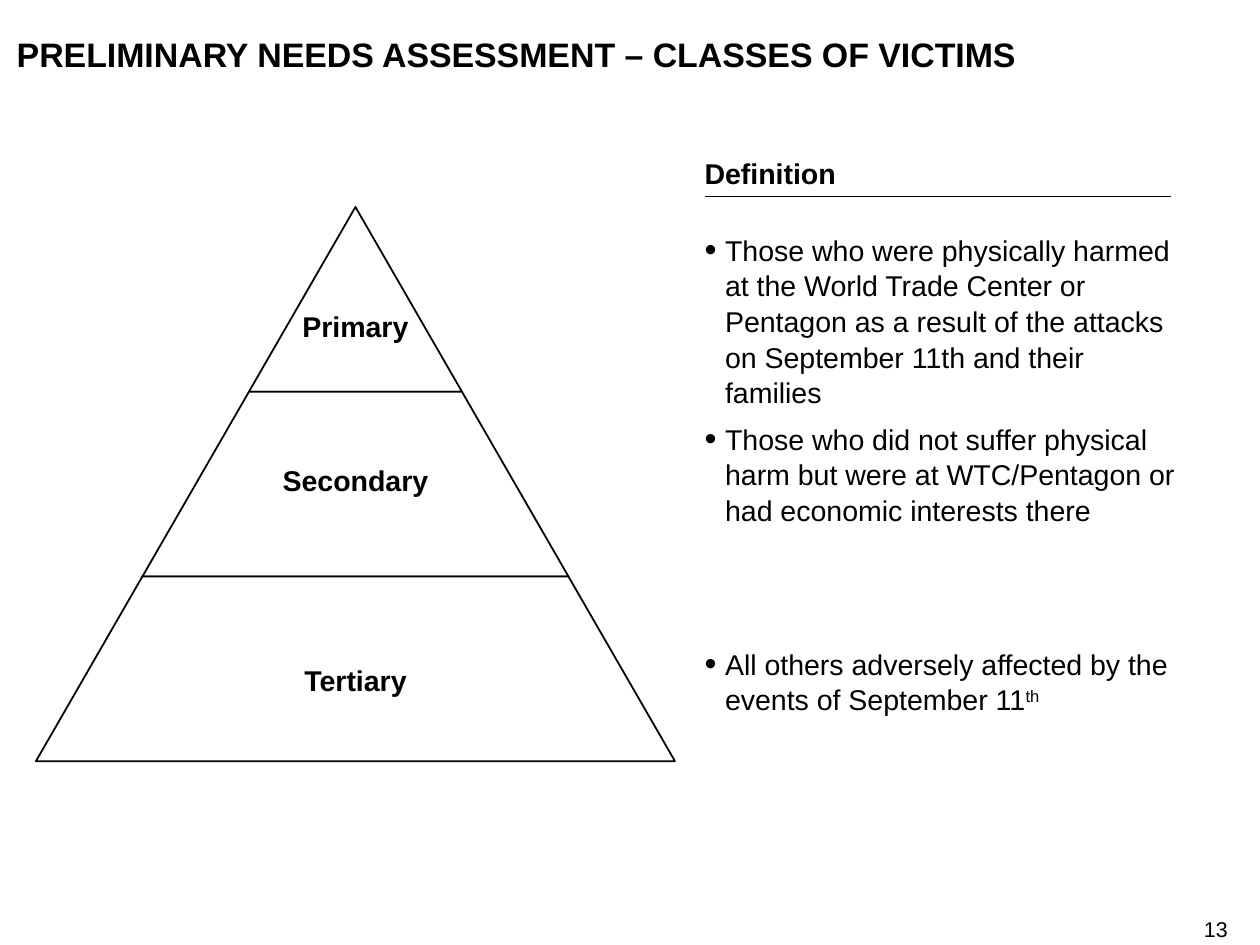
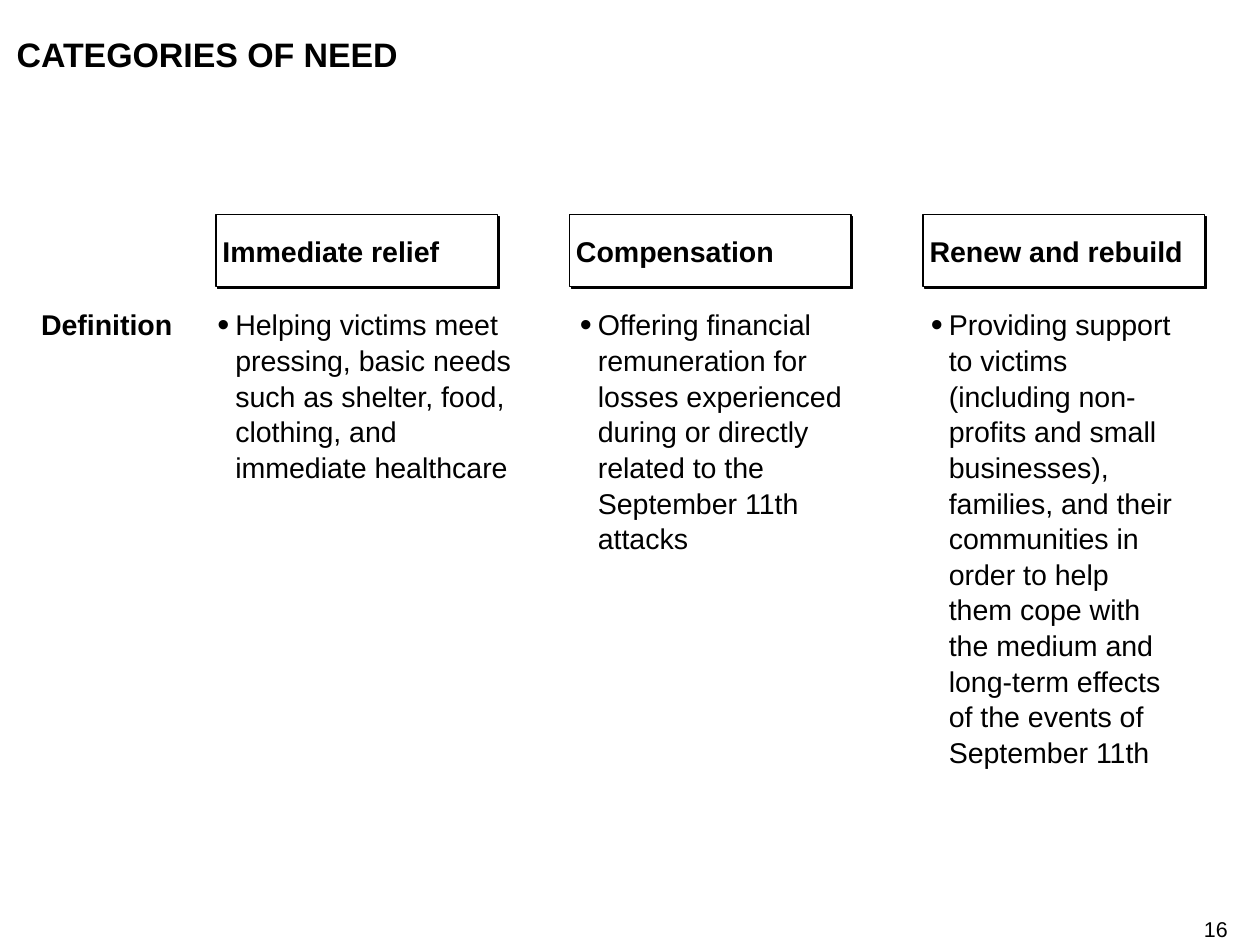
from lxml.etree import SubElement
from pptx import Presentation
from pptx.dml.color import RGBColor
from pptx.enum.shapes import MSO_CONNECTOR, MSO_SHAPE
from pptx.enum.text import MSO_ANCHOR as ANCHOR, MSO_AUTO_SIZE as FIT, PP_ALIGN as ALIGN
from pptx.oxml.ns import qn
from pptx.util import Inches, Pt

BLACK = RGBColor(0, 0, 0)
WHITE = RGBColor(255, 255, 255)
FONT = "Arial"
BODY_SIZE = 16
LINE_SPACING = 1.04

CLASSES = [
    ("Primary", 2.4, 1.26, 1.8, 1.33,
     ["Those who were physically harmed at the World Trade Center or Pentagon "
      "as a result of the attacks on September 11th and their families"]),
    ("Secondary", 3.59, 2.09, 3.27, 0.8,
     ["Those who did not suffer physical harm but were at WTC/Pentagon "
      "or had economic interests there"]),
    ("Tertiary", 5.15, 3.85, 5.02, 0.53,
     ["All others adversely affected by the events of September 11", "th"]),
]
NEEDS = [
    ("Immediate relief", 0.01, 2.32, 1.33,
     "Helping victims meet pressing, basic needs such as shelter, food, clothing, "
     "and immediate healthcare"),
    ("Compensation", 0.08, 2.39, 1.87,
     "Offering financial remuneration for losses experienced during or directly "
     "related to the September 11th attacks"),
    ("Renew and rebuild", 0.06, 1.9, 3.47,
     "Providing support to victims (including non-profits and small businesses), "
     "families, and their communities in order to help them cope with the medium "
     "and long-term effects of the events of September 11th"),
]


def place(sp, x, y, w, h):
    """Move a shape to a box given in inches."""
    sp.left, sp.top, sp.width, sp.height = (Inches(v) for v in (x, y, w, h))


def set_frame(sp, anchor=ANCHOR.TOP, inset=0):
    """Set wrapping, anchor and equal insets, and return the text frame."""
    tf = sp.text_frame
    tf.word_wrap = True
    tf.vertical_anchor = anchor
    tf.margin_left = tf.margin_right = tf.margin_top = tf.margin_bottom = Inches(inset)
    return tf


def add_run(p, text, size=BODY_SIZE, bold=False):
    """Append a formatted run to a paragraph."""
    r = p.add_run()
    r.text = text
    r.font.name = FONT
    r.font.size = Pt(size)
    r.font.bold = bold
    r.font.color.rgb = BLACK
    return r


def add_text(s, box, text, size=BODY_SIZE, bold=False, align=ALIGN.LEFT,
             anchor=ANCHOR.TOP, fit=FIT.SHAPE_TO_FIT_TEXT):
    """Add a one-paragraph text box."""
    tf = set_frame(s.shapes.add_textbox(*(Inches(v) for v in box)), anchor)
    tf.auto_size = fit
    p = tf.paragraphs[0]
    p.alignment = align
    p.line_spacing = LINE_SPACING
    add_run(p, text, size, bold)
    return p


def add_bullet(s, box, text, indent, superscript=""):
    """Add a bulleted text box, ending in an optional superscript."""
    p = add_text(s, box, text)
    pPr = p._p.get_or_add_pPr()
    pPr.set("marL", str(Inches(indent)))
    pPr.set("indent", str(-Inches(indent)))
    color = SubElement(pPr, qn("a:buClr"))
    SubElement(color, qn("a:srgbClr"), val=str(BLACK))
    SubElement(pPr, qn("a:buSzPct"), val="120000")
    SubElement(pPr, qn("a:buFont"), typeface=FONT)
    SubElement(pPr, qn("a:buChar"), char="•")
    if superscript:
        add_run(p, superscript).font._element.set("baseline", "30000")


def add_outline(sp, width):
    """Fill a shape white and outline it in black."""
    sp.shadow.inherit = False
    sp.fill.solid()
    sp.fill.fore_color.rgb = WHITE
    sp.line.color.rgb = BLACK
    sp.line.width = Pt(width)


def add_slide(prs, title, number):
    """Add a slide with the shared title and page number."""
    s = prs.slides.add_slide(prs.slide_layouts[5])
    s.background.fill.solid()
    s.background.fill.fore_color.rgb = WHITE
    place(s.shapes.title, 0.13, 0.25, 9.43, 0.32)
    p = set_frame(s.shapes.title).paragraphs[0]
    p.alignment = ALIGN.LEFT
    p.line_spacing = LINE_SPACING
    add_run(p, title, 19, True)
    add_text(s, (9.35, 7.12, 0.2, 0.2), number, 12, align=ALIGN.RIGHT, fit=FIT.NONE)
    return s


def add_pyramid(s, x, y, w, h):
    """Draw a pyramid cut into tiers of equal height, with labels."""
    center, count = x + w / 2, len(CLASSES)
    for i, (label, label_y, label_w, *_) in enumerate(CLASSES):
        top, bottom = i / count, (i + 1) / count
        corners = [(center + side * w / 2 * level, y + h * level)
                   for side, level in ((-1, top), (1, top), (1, bottom), (-1, bottom))]
        points = [(Inches(a), Inches(b)) for a, b in dict.fromkeys(corners)]
        outline = s.shapes.build_freeform(*points[0])
        outline.add_line_segments(points[1:], close=True)
        add_outline(outline.convert_to_shape(), 1)
        add_text(s, (center - label_w / 2, label_y, label_w, 0.27), label,
                 bold=True, align=ALIGN.CENTER, anchor=ANCHOR.MIDDLE)


def add_definitions(s, x, y, w):
    """Add the ruled heading and the definition of each class."""
    add_text(s, (x, y, 1.23, 0.27), "Definition", bold=True)
    rule_y = Inches(y + 0.33)
    rule = s.shapes.add_connector(MSO_CONNECTOR.STRAIGHT, Inches(x), rule_y,
                                  Inches(x + 3.63), rule_y)
    rule.line.color.rgb = BLACK
    rule.line.width = Pt(0.75)
    SubElement(rule._element.spPr, qn("a:effectLst"))
    for _, _, _, top, height, texts in CLASSES:
        add_bullet(s, (x, top, w, height), texts[0], 0.16, "".join(texts[1:]))


def add_header(s, box, text):
    """Add a column header box with a hard shadow."""
    sp = s.shapes.add_shape(MSO_SHAPE.RECTANGLE, *(Inches(v) for v in box))
    add_outline(sp, 0.75)
    effects = sp._element.spPr.find(qn("a:effectLst"))
    shadow = SubElement(effects, qn("a:outerShdw"), blurRad="0", dist=str(Pt(1.4)),
                        dir="2700000", algn="ctr", rotWithShape="0")
    SubElement(shadow, qn("a:srgbClr"), val=str(BLACK))
    p = set_frame(sp, ANCHOR.MIDDLE, 0.05).paragraphs[0]
    p.alignment = ALIGN.LEFT
    p.line_spacing = LINE_SPACING
    add_run(p, text, bold=True)


def add_needs(s, x, y, pitch):
    """Add one headed column for each category of need."""
    text_y = y + 0.71
    add_text(s, (0.32, text_y, 1.3, 0.32), "Definition", bold=True)
    for i, (header, shift, width, height, text) in enumerate(NEEDS):
        left = x + i * pitch
        add_header(s, (left, y, 2.19, 0.56), header)
        add_bullet(s, (left + shift, text_y, width, height), text, 0.14)


def main():
    """Build and save the two slides."""
    prs = Presentation()
    prs.slide_width, prs.slide_height = Inches(9.8), Inches(7.35)
    s = add_slide(prs, "PRELIMINARY NEEDS ASSESSMENT – CLASSES OF VICTIMS", "13")
    add_pyramid(s, 0.28, 1.61, 4.97, 4.31)
    add_definitions(s, 5.48, 1.2, 3.7)
    s = add_slide(prs, "CATEGORIES OF NEED", "16")
    add_needs(s, 1.68, 1.67, 2.75)
    prs.save("out.pptx")


if __name__ == "__main__":
    main()
